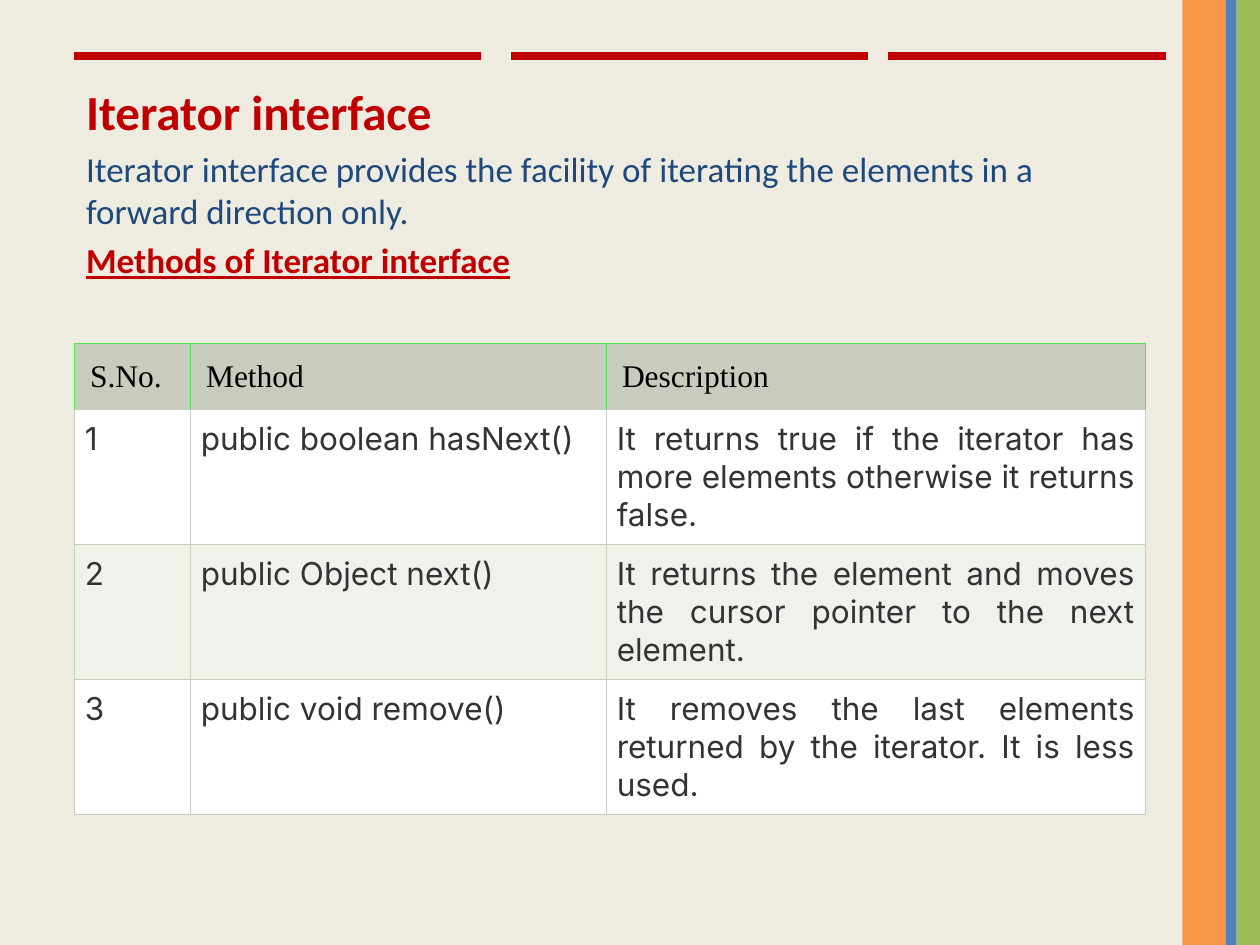
from lxml import etree
from pptx import Presentation
from pptx.dml.color import RGBColor
from pptx.enum import shapes, text
from pptx.oxml import ns
from pptx.util import Pt

CREAM = RGBColor(0xEE, 0xEC, 0xE1)
ORANGE = RGBColor(0xF7, 0x96, 0x46)
BLUE = RGBColor(0x4F, 0x81, 0xBD)
GREEN = RGBColor(0x9B, 0xBB, 0x59)
RED = RGBColor(0xC0, 0x00, 0x00)
NAVY = RGBColor(0x1F, 0x49, 0x7D)
SAGE = RGBColor(0xC7, 0xCC, 0xBE)
PALE_SAGE = RGBColor(0xEF, 0xF1, 0xEB)
LIME = RGBColor(0x50, 0xE0, 0x52)
WHITE = RGBColor(0xFF, 0xFF, 0xFF)
BLACK = RGBColor(0x00, 0x00, 0x00)
CHARCOAL = RGBColor(0x33, 0x33, 0x33)


def add_span(para, wording, font_name, size, color, bold=False, underline=False):
    span = para.add_run()
    span.text = wording
    font = span.font
    font.name, font.size, font.bold, font.underline = font_name, Pt(size), bold, underline
    font.color.rgb = color


def add_borders(cell, colors):
    """Give a cell 0.75 pt borders; colors are left, right, top, bottom."""
    properties = cell._tc.get_or_add_tcPr()
    for side, color in zip("LRTB", colors):
        line = etree.SubElement(properties, ns.qn(f"a:ln{side}"), w=str(Pt(0.75)))
        fill = etree.SubElement(line, ns.qn("a:solidFill"))
        etree.SubElement(fill, ns.qn("a:srgbClr"), val=str(color))


deck = Presentation()
deck.slide_width, deck.slide_height = Pt(720), Pt(540)
page = deck.slides.add_slide(deck.slide_layouts[1])
page.background.fill.solid()
page.background.fill.fore_color.rgb = CREAM
title = page.shapes.title
title.element.getparent().remove(title.element)

# Stripes down the right edge
for left, width, color in ((675.7, 25.2, ORANGE), (706.5, 13.5, GREEN), (700.5, 6, BLUE)):
    stripe = page.shapes.add_shape(
        shapes.MSO_SHAPE.RECTANGLE, Pt(left), Pt(0), Pt(width), Pt(540))
    stripe.shadow.inherit = False
    stripe.fill.solid()
    stripe.fill.fore_color.rgb = color
    stripe.line.fill.background()

# Heading and introduction
body = page.placeholders[1]
body.left, body.top, body.width, body.height = Pt(42), Pt(43.2), Pt(588), Pt(484.5)
frame = body.text_frame
frame.auto_size = text.MSO_AUTO_SIZE.NONE
introduction = (
    ("Iterator interface", 28, RED, True, False),
    ("Iterator interface provides the facility of iterating the elements in a "
     "forward direction only.", 20, NAVY, False, False),
    ("Methods of Iterator interface", 20, RED, True, True),
)
for number, (wording, size, color, bold, underline) in enumerate(introduction):
    para = frame.add_paragraph() if number else frame.paragraphs[0]
    para.space_before = Pt(4 if number else 0)
    properties = para._p.get_or_add_pPr()
    properties.set("marL", "0")
    properties.set("indent", "0")
    etree.SubElement(properties, ns.qn("a:buNone"))
    add_span(para, wording, "Calibri", size, color, bold, underline)

# Broken rule across the top
for start, end in ((42.5, 275), (292.3, 496), (507.6, 666)):
    rule = page.shapes.add_connector(
        shapes.MSO_CONNECTOR.STRAIGHT, Pt(start), Pt(31.9), Pt(end), Pt(31.9))
    rule.line.color.rgb = RED
    rule.line.width = Pt(4.5)
    etree.SubElement(rule._element.spPr, ns.qn("a:effectLst"))

# Table of methods
methods = (
    ("S.No.", "Method", "Description"),
    ("1", "public boolean hasNext()",
     "It returns true if the iterator has more elements otherwise it returns false."),
    ("2", "public Object next()",
     "It returns the element and moves the cursor pointer to the next element."),
    ("3", "public void remove()",
     "It removes the last elements returned by the iterator. It is less used."),
)
column_widths = (66.3, 237.7, 308)
row_heights = (37.7, 77.1, 77.1, 77.1)
table = page.shapes.add_table(
    len(methods), len(column_widths), Pt(42.5), Pt(196.3),
    Pt(sum(column_widths)), Pt(sum(row_heights))).table
for column, width in zip(table.columns, column_widths):
    column.width = Pt(width)
for row_number, (row, height, wordings) in enumerate(zip(table.rows, row_heights, methods)):
    row.height = Pt(height)
    is_header = row_number == 0
    for cell, wording in zip(row.cells, wordings):
        inset = Pt(9 if is_header else 6)
        cell.margin_left = cell.margin_right = cell.margin_top = cell.margin_bottom = inset
        para = cell.text_frame.paragraphs[0]
        if is_header:
            add_borders(cell, (LIME, LIME, LIME, SAGE))
            add_span(para, wording, "Times New Roman", 18, BLACK)
            background = SAGE
        else:
            add_borders(cell, (SAGE,) * 4)
            para.alignment = text.PP_ALIGN.JUSTIFY
            add_span(para, wording, "Inter", 18, CHARCOAL)
            background = WHITE if row_number % 2 else PALE_SAGE
        cell.fill.solid()
        cell.fill.fore_color.rgb = background

deck.save("out.pptx")
